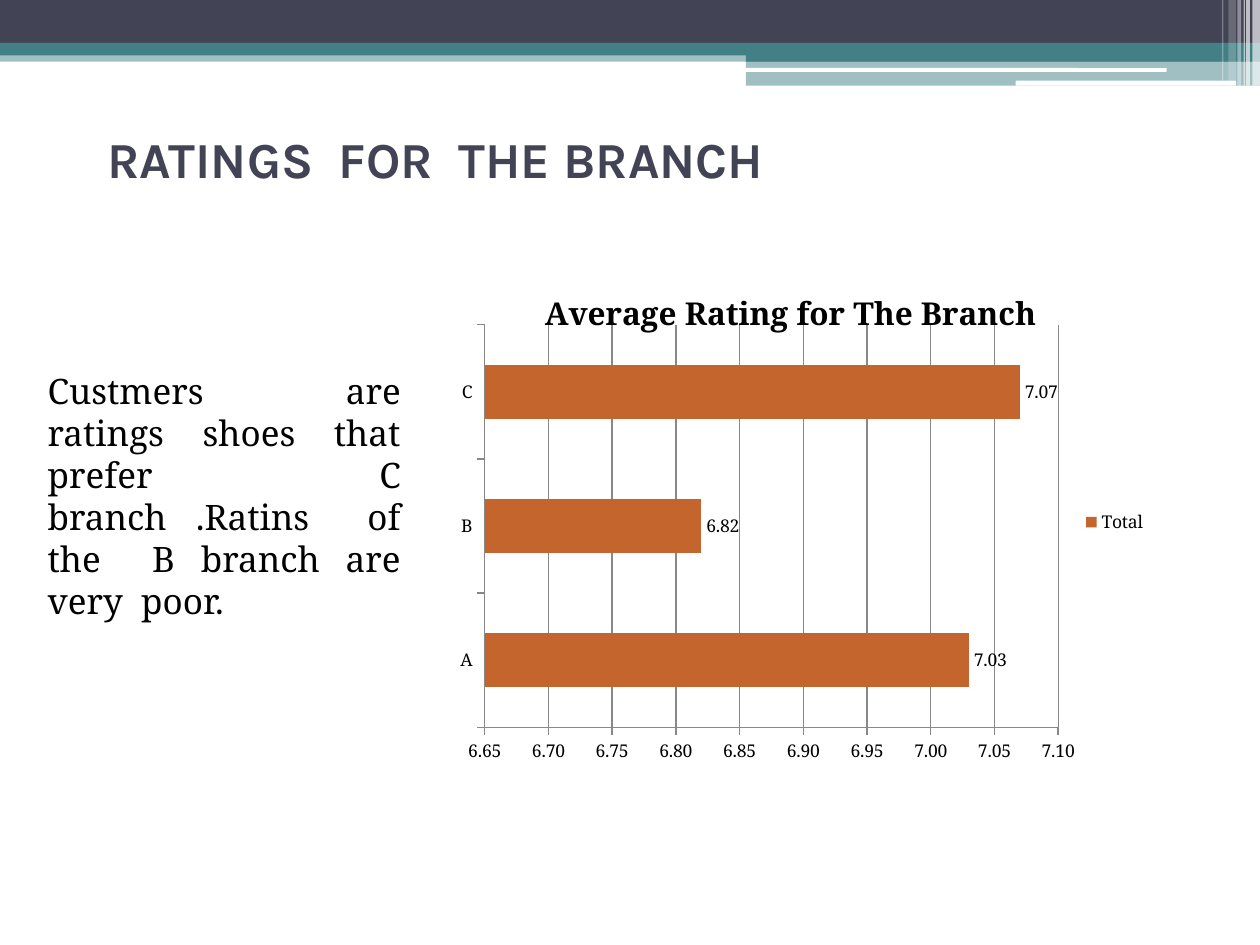
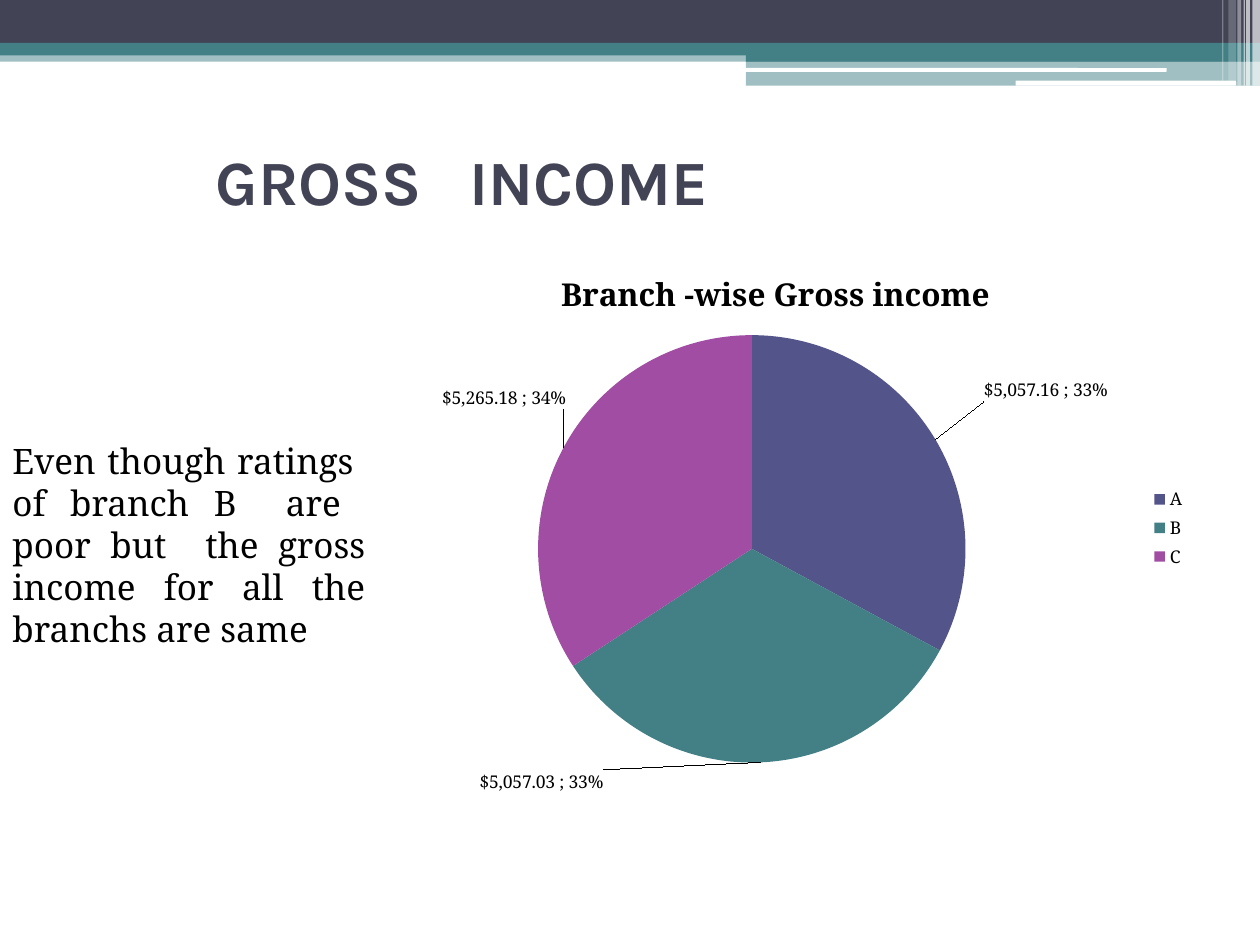
from pptx import Presentation
from pptx.chart.data import CategoryChartData
from pptx.dml.color import RGBColor
from pptx.enum.chart import XL_CHART_TYPE, XL_LABEL_POSITION, XL_LEGEND_POSITION, XL_TICK_MARK
from pptx.enum.shapes import MSO_SHAPE
from pptx.enum.text import MSO_ANCHOR, MSO_AUTO_SIZE, PP_ALIGN
from pptx.oxml import parse_xml
from pptx.oxml.ns import nsdecls
from pptx.util import Inches, Pt
from lxml.etree import SubElement

COLORS = {
    "navy": "424456", "teal": "438086", "white": "FFFFFF", "black": "000000",
    "rust": "C4652D", "blue": "53548A", "plum": "A04DA3", "grey": "888888",
}
HEAD, BODY = "Karla", "Noto Serif"
RECT, ROUND = MSO_SHAPE.RECTANGLE, MSO_SHAPE.ROUNDED_RECTANGLE
BRANCHES = ("A", "B", "C")

# left, top, width, height, colour, opacity in percent, shape
BANDS = [
    (0, 0.4, 10, 0.09, "teal", 50, RECT),
    (0, 0, 10, 0.34, "navy", 100, RECT),
    (0, 0.34, 10, 0.1, "teal", 100, RECT),
    (5.92, 0.39, 4.08, 0.1, "teal", 100, RECT),
    (5.92, 0.48, 4.08, 0.2, "teal", 50, RECT),
    (5.91, 0.54, 3.35, 0.03, "white", 100, ROUND),
    (8.06, 0.64, 1.75, 0.04, "white", 100, ROUND),
]
# left, width, height, opacity of the white stripes in the corner
STRIPES = [
    (9.94, 0.06, 0.68, 65), (9.89, 0.03, 0.68, 65), (9.87, 0.01, 0.68, 60),
    (9.82, 0.03, 0.68, 40), (9.75, 0.06, 0.64, 20), (9.7, 0.01, 0.64, 30),
]


def rgb(name):
    """Look up a colour by name."""
    return RGBColor.from_string(COLORS[name])


def band(slide, left, top, width, height, color, alpha, kind):
    """Draw one flat bar, see-through if alpha is below 100."""
    bar = slide.shapes.add_shape(
        kind, Inches(left), Inches(top), Inches(width), Inches(height))
    bar.shadow.inherit = False
    bar.fill.solid()
    bar.fill.fore_color.rgb = rgb(color)
    bar.line.fill.background()
    if alpha < 100:
        tint = bar.fill._xPr.find(".//{*}srgbClr")
        tint.append(parse_xml(f'<a:alpha {nsdecls("a")} val="{alpha * 1000}"/>'))


def banner(slide):
    """Draw the bands and stripes along the top."""
    for item in BANDS:
        band(slide, *item)
    for left, width, height, alpha in STRIPES:
        band(slide, left, 0, width, height, "white", alpha, RECT)


def style(font, name=BODY, size=10, color="black", bold=False):
    """Set the look of a font."""
    font.name, font.size, font.bold = name, Pt(size), bold
    font.color.rgb = rgb(color)


def write(frame, text, align=PP_ALIGN.LEFT, anchor=MSO_ANCHOR.TOP, before=0, **look):
    """Fill a text frame with one formatted paragraph."""
    frame.word_wrap, frame.auto_size = True, MSO_AUTO_SIZE.NONE
    frame.vertical_anchor = anchor
    frame.margin_left = frame.margin_right = Inches(0.1)
    frame.margin_top = frame.margin_bottom = Inches(0.05)
    para = frame.paragraphs[0]
    para.alignment, para.space_before = align, Pt(before)
    run = para.add_run()
    run.text = text
    style(run.font, **look)


def page(prs, title, spot, size, note, place):
    """Add a slide with its banner, title and side note."""
    slide = prs.slides.add_slide(prs.slide_layouts[5])
    banner(slide)
    head = slide.shapes.title
    head.left, head.top, head.width, head.height = map(Inches, spot)
    write(head.text_frame, title, anchor=MSO_ANCHOR.BOTTOM,
          name=HEAD, size=size, color="navy", bold=True)
    box = slide.shapes.add_textbox(*map(Inches, place))
    write(box.text_frame, note, align=PP_ALIGN.JUSTIFY, before=3, size=20)
    return slide


def layout(chart, *area):
    """Fix the inner plot area as fractions of the chart."""
    plot = chart._chartSpace.chart.plotArea
    for old in plot.findall("{*}layout"):
        plot.remove(old)
    node = parse_xml(f'<c:layout {nsdecls("c")}><c:manualLayout/></c:layout>')
    tags = ("layoutTarget", "xMode", "yMode", "x", "y", "w", "h")
    for tag, val in zip(tags, ("inner", "edge", "edge", *area)):
        SubElement(node[0], f"{{{node.nsmap['c']}}}{tag}").set("val", str(val))
    plot.insert(0, node)


def graph(slide, kind, spot, title, name, vals, code, area):
    """Add a chart with a title and a legend at the right."""
    data = CategoryChartData(number_format=code)
    data.categories = BRANCHES
    data.add_series(name, vals)
    chart = slide.shapes.add_chart(kind, *map(Inches, spot), data).chart
    style(chart.font)
    chart.has_title = True
    run = chart.chart_title.text_frame.paragraphs[0].add_run()
    run.text = title
    style(run.font, size=18, bold=True)
    chart.has_legend = True
    chart.legend.position = XL_LEGEND_POSITION.RIGHT
    chart.legend.include_in_layout = False
    layout(chart, *area)
    return chart


def bars(chart):
    """Format the bars, their labels and both axes."""
    plot = chart.plots[0]
    plot.vary_by_categories, plot.gap_width = False, 150
    fill = plot.series[0].format.fill
    fill.solid()
    fill.fore_color.rgb = rgb("rust")
    plot.has_data_labels = True
    tags = plot.data_labels
    tags.show_value, tags.position = True, XL_LABEL_POSITION.OUTSIDE_END
    tags.number_format, tags.number_format_is_linked = "0.00", False
    scale = chart.value_axis
    scale.minimum_scale, scale.maximum_scale, scale.major_unit = 6.65, 7.1, 0.05
    scale.tick_labels.number_format = "0.00"
    scale.tick_labels.number_format_is_linked = False
    scale.has_major_gridlines = True
    scale.major_gridlines.format.line.color.rgb = rgb("grey")
    for axis in (scale, chart.category_axis):
        axis.major_tick_mark = XL_TICK_MARK.OUTSIDE
        axis.format.line.color.rgb = rgb("grey")
    chart.category_axis.has_major_gridlines = False


def slices(chart, colors, shifts):
    """Colour the slices and move their labels out on leader lines."""
    chart.plots[0].vary_by_categories = True
    row = chart.plots[0].series[0]
    for index, color in enumerate(colors):
        fill = row.points[index].format.fill
        fill.solid()
        fill.fore_color.rgb = rgb(color)
    shows = (("LegendKey", 0), ("Val", 1), ("CatName", 0), ("SerName", 0),
             ("Percent", 1), ("BubbleSize", 0))
    flags = "".join(f'<c:show{key} val="{val}"/>' for key, val in shows)
    look = f'<c:dLblPos val="outEnd"/>{flags}<c:separator>; </c:separator>'
    tags = "".join(
        f'<c:dLbl><c:idx val="{index}"/><c:layout><c:manualLayout><c:x val="{x}"/>'
        f'<c:y val="{y}"/></c:manualLayout></c:layout>{look}</c:dLbl>'
        for index, (x, y) in enumerate(shifts))
    node = parse_xml(f'<c:dLbls {nsdecls("c")}>{tags}{look}'
                     '<c:showLeaderLines val="1"/></c:dLbls>')
    row._element.find("{*}cat").addprevious(node)


def main():
    """Build both slides and save them."""
    prs = Presentation()
    prs.slide_width, prs.slide_height = Inches(10), Inches(7.5)

    slide = page(
        prs, "RATINGS  FOR  THE BRANCH", (0.75, 0.99, 6.31, 0.56), 28.8,
        "Custmers  are ratings  shoes  that prefer  C branch .Ratins  of the  B "
        "branch are very  poor.", (0.28, 2.88, 3, 1))
    bars(graph(slide, XL_CHART_TYPE.BAR_CLUSTERED, (3.35, 2.1, 5.85, 4.09),
               "Average Rating for The Branch", "Total", (7.03, 6.82, 7.07),
               "0.00", (0.085, 0.117, 0.778, 0.781)))

    slide = page(
        prs, "GROSS   INCOME", (1.61, 0.76, 4.8, 1.02), 36,
        "Even though ratings  of branch B  are  poor but  the gross income  for  "
        "all  the branchs are same", (0, 3.44, 3, 1))
    pie = graph(slide, XL_CHART_TYPE.PIE, (2.8, 1.94, 6.71, 4.5),
                "Branch -wise Gross income", "Series 1",
                (5057.16, 5057.03, 5265.18), "[$$-409]#,##0.00_ ",
                (0.219, 0.16, 0.506, 0.754))
    slices(pie, ("blue", "teal", "plum"), ((0.05, -0.06), (-0.26, 0), (0.01, -0.06)))

    prs.save("out.pptx")


main()
